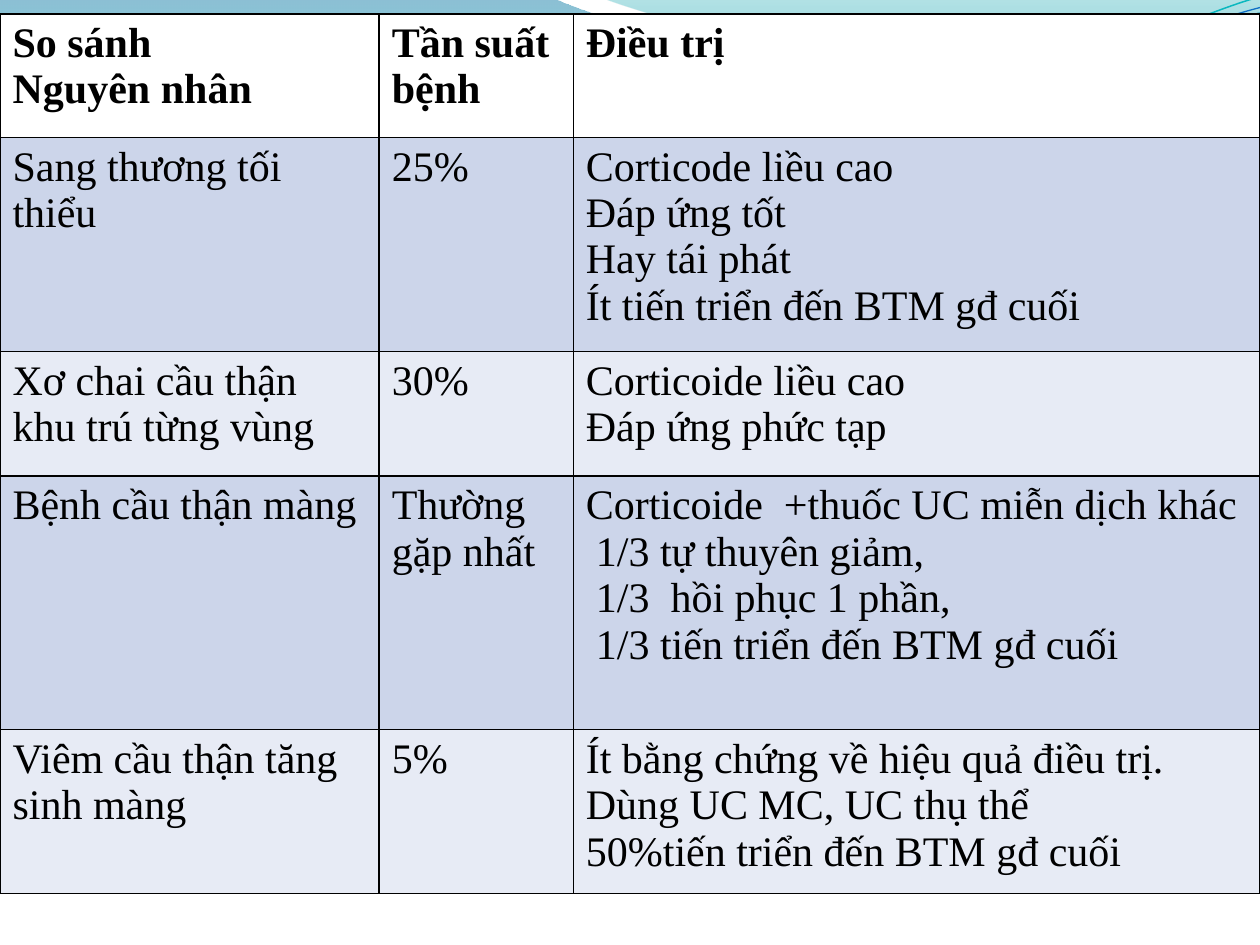
from lxml import etree
from pptx import Presentation
from pptx import util as u
from pptx.dml.color import RGBColor
from pptx.oxml.ns import qn

# Each wave is a start point followed by cubic curves (three points)
# or straight lines (one point)
LEFT_WAVE = [
    (0, 0), [(4.4, -0.01)],
    [(4.76, 0.17), (6.64, 0.63), (7.58, 0.63)],
    [(8.53, 0.63), (9.58, 0.26), (10, 0.09)], [(10.01, 0.36)],
    [(9.83, 0.44), (8.7, 0.76), (7.46, 0.75)],
    [(6.22, 0.75), (3.82, 0.28), (2.57, 0.34)],
    [(1.29, 0.36), (0.46, 0.83), (-0.01, 1.13)], [(0, 0)],
]
RIGHT_WAVE = [
    (4.79, -0.01),
    [(5.09, 0.11), (6.82, 0.62), (7.69, 0.65)],
    [(8.56, 0.69), (9.61, 0.32), (10, 0.21)], [(10, 0)], [(4.79, -0.01)],
]
UPPER_LINE = [
    (0, 1.11),
    [(0.48, 0.93), (1.58, 0.57), (2.77, 0.52)],
    [(3.95, 0.47), (5.93, 0.89), (7.13, 0.8)],
    [(8.33, 0.71), (9.38, 0.15), (9.98, -0.02)],
]
LOWER_LINE = [
    (0, 1.04),
    [(0.47, 0.96), (1.64, 0.61), (2.83, 0.56)],
    [(4.03, 0.51), (5.97, 0.84), (7.17, 0.75)],
    [(8.36, 0.67), (9.41, 0.21), (10, 0.06)],
]

COLUMN_WIDTHS = [3.01, 1.54, 5.45]
ROW_HEIGHTS = [0.98, 1.7, 0.99, 2.01, 1.3]
# A line break separates paragraphs; a leading tab marks an indented one
ROWS = [
    ["So sánh\nNguyên nhân", "Tần suất bệnh", "Điều trị"],
    ["Sang thương tối thiểu", "25%",
     "Corticode liều cao\nĐáp ứng tốt\nHay tái phát\nÍt tiến triển đến BTM gđ cuối"],
    ["Xơ chai cầu thận khu trú từng vùng", "30%",
     "Corticoide liều cao\nĐáp ứng phức tạp"],
    ["Bệnh cầu thận màng", "Thường gặp nhất",
     "Corticoide  +thuốc UC miễn dịch khác\n\t1/3 tự thuyên giảm,\n"
     "\t1/3  hồi phục 1 phần,\n\t1/3 tiến triển đến BTM gđ cuối"],
    ["Viêm cầu thận tăng sinh màng", "5%",
     "Ít bằng chứng về hiệu quả điều trị. Dùng UC MC, UC thụ thể\n"
     "50%tiến triển đến BTM gđ cuối"],
]


def color(value):
    return RGBColor.from_string(value)


class SlideBuilder:
    font = "Times New Roman"
    size = 24
    ink = "000000"
    header_fill = "FFFFFF"
    band_fills = ["E7EBF5", "CCD5EA"]

    def __init__(self, slide):
        self.slide = slide

    def outline(self, start, segments, close):
        """Draw through all points, then turn each run of three into a curve."""
        points = [(u.Inches(x), u.Inches(y)) for segment in segments for x, y in segment]
        builder = self.slide.shapes.build_freeform(
            u.Inches(start[0]), u.Inches(start[1]), scale=1.0)
        builder.add_line_segments(points, close=close)
        shape = builder.convert_to_shape()
        shape.shadow.inherit = False
        lines = iter(list(shape.element.iter(qn("a:lnTo"))))
        for segment in segments:
            steps = [next(lines) for _ in segment]
            if len(steps) == 3:
                curve = etree.Element(qn("a:cubicBezTo"))
                steps[0].addprevious(curve)
                for step in steps:
                    curve.append(step[0])
                    step.getparent().remove(step)
        return shape

    def wave(self, outline, stops):
        """Fill a wave from top to bottom; stops are (position, colour, opacity)."""
        shape = self.outline(outline[0], outline[1:], True)
        shape.line.fill.background()
        shape.fill.gradient()
        shape.fill.gradient_angle = 270
        elements = shape.element.iter(qn("a:gs"))
        for stop, element, (position, value, opacity) in zip(
                shape.fill.gradient_stops, elements, stops):
            stop.position = position
            stop.color.rgb = color(value)
            alpha = etree.SubElement(element[0], qn("a:alpha"))
            alpha.set("val", str(opacity * 1000))

    def wave_line(self, outline, value, width):
        shape = self.outline(outline[0], outline[1:], False)
        shape.fill.background()
        shape.line.color.rgb = color(value)
        shape.line.width = u.Pt(width)

    def borders(self, cell):
        properties = cell._tc.get_or_add_tcPr()
        for side in ("lnL", "lnR", "lnT", "lnB"):
            border = etree.SubElement(properties, qn(f"a:{side}"), w=str(u.Pt(1)))
            fill = etree.SubElement(border, qn("a:solidFill"))
            etree.SubElement(fill, qn("a:srgbClr"), val=self.ink)

    def cell(self, cell, content, fill, bold):
        self.borders(cell)
        cell.fill.solid()
        cell.fill.fore_color.rgb = color(fill)
        frame = cell.text_frame
        for index, line in enumerate(content.split("\n")):
            paragraph = frame.add_paragraph() if index else frame.paragraphs[0]
            if line.startswith("\t"):
                properties = paragraph._p.get_or_add_pPr()
                properties.set("marL", str(u.Inches(0.08)))
                properties.set("indent", "0")
            run = paragraph.add_run()
            run.text = line.strip()
            run.font.name = self.font
            run.font.size = u.Pt(self.size)
            run.font.bold = bold
            run.font.color.rgb = color(self.ink)

    def table(self, left, top, widths, heights, rows):
        table = self.slide.shapes.add_table(
            len(rows), len(widths), u.Inches(left), u.Inches(top),
            u.Inches(sum(widths)), u.Inches(sum(heights))).table
        for column, width in zip(table.columns, widths):
            column.width = u.Inches(width)
        for index, (row, height) in enumerate(zip(rows, heights)):
            table.rows[index].height = u.Inches(height)
            fill = self.band_fills[index % 2] if index else self.header_fill
            for column, content in enumerate(row):
                self.cell(table.cell(index, column), content, fill, index == 0)


def main():
    presentation = Presentation()
    presentation.slide_width = u.Inches(10)
    presentation.slide_height = u.Inches(7.5)
    builder = SlideBuilder(presentation.slides.add_slide(presentation.slide_layouts[6]))

    # Waves along the top edge
    builder.wave(LEFT_WAVE, [(0, "0074A1", 45), (1, "00C6CF", 55)])
    builder.wave(RIGHT_WAVE, [(0, "00A1A9", 30), (0.8, "008BBF", 45)])
    builder.wave_line(UPPER_LINE, "0AB8BF", 0.85)
    builder.wave_line(LOWER_LINE, "0F6FC6", 0.75)

    # Comparison of causes, frequency and treatment
    builder.table(0, 0.11, COLUMN_WIDTHS, ROW_HEIGHTS, ROWS)

    presentation.save("out.pptx")


if __name__ == "__main__":
    main()
